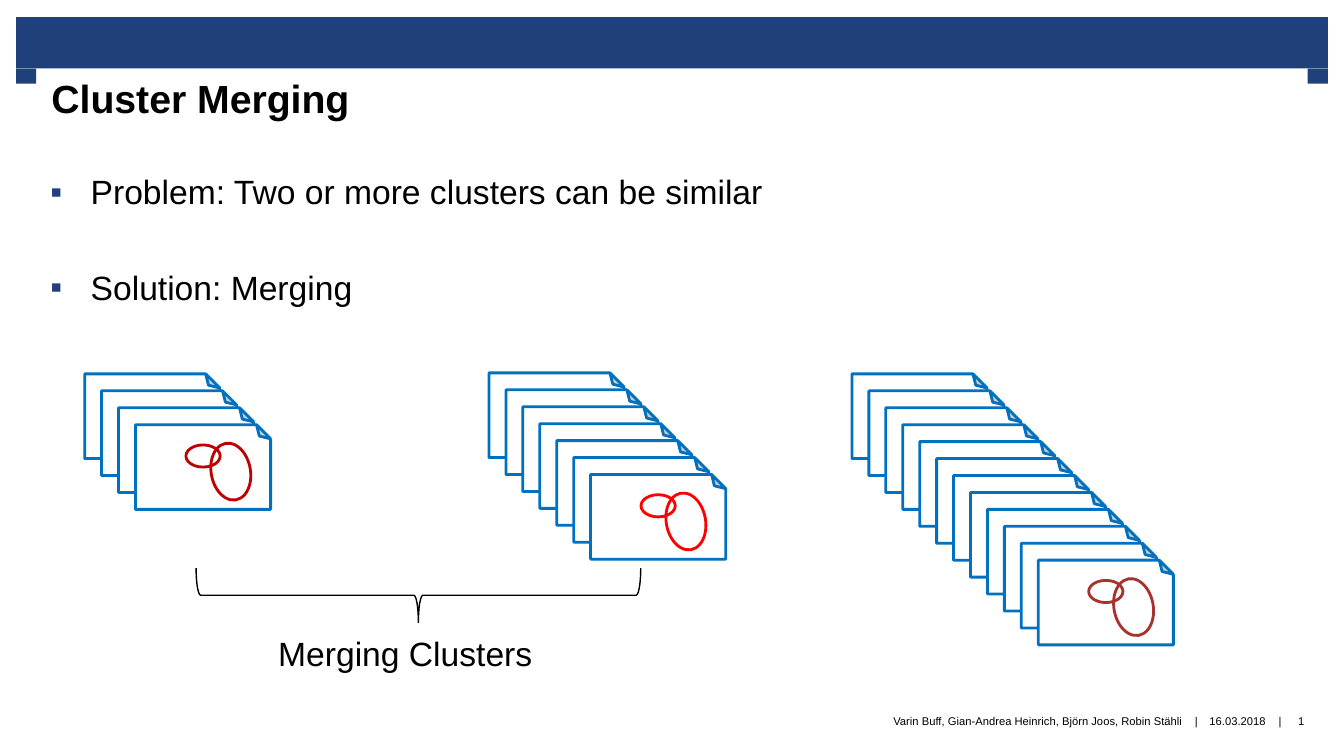
from dataclasses import dataclass

from lxml.etree import SubElement
from pptx import Presentation
from pptx.dml.color import RGBColor
from pptx.enum.shapes import MSO_SHAPE as Shape
from pptx.enum.text import MSO_ANCHOR as Anchor, PP_ALIGN as Align
from pptx.oxml.ns import qn
from pptx.util import Inches, Pt


@dataclass(frozen=True)
class Theme:
    font: str = "Arial"
    banner: str = "1F407A"
    paper: str = "FFFFFF"
    card_edge: str = "0070C0"
    ink: str = "000000"
    title_size: int = 28
    body_size: int = 24
    footer_size: int = 8
    card_line: float = 2
    brace_line: float = 1


THEME = Theme()
SLIDE_W, SLIDE_H = 13.33, 7.5
MARGIN = 0.35
CONTENT_W = SLIDE_W - 2 * MARGIN

TITLE = "Cluster Merging"
POINTS = ["Problem: Two or more clusters can be similar", "Solution: Merging"]
MERGE_LABEL = "Merging Clusters"
# left, top, number of cards, colour of the drawing on the front card
CLUSTERS = [
    (0.84, 3.71, 4, "C00000"),
    (4.85, 3.70, 7, "FF0000"),
    (8.45, 3.71, 12, "A8322D"),
]
# text, left, width, alignment
FOOTER = [
    ("Varin Buff, Gian-Andrea Heinrich, Björn Joos, Robin Stähli", 6.66, 5.07, Align.RIGHT),
    ("|", 11.79, 0.15, Align.CENTER),
    ("16.03.2018", 11.94, 0.67, Align.CENTER),
    ("|", 12.62, 0.15, Align.CENTER),
    ("1", 12.71, 0.39, Align.CENTER),
]
FOOTER_TOP, FOOTER_H = 6.9, 0.51

BANNER_EDGE = 0.16
BANNER_W = SLIDE_W - 2 * BANNER_EDGE
BANNER_TOP, BANNER_H = 0.17, 0.51
TAB_W, TAB_H = 0.2, 0.15

CARD_W, CARD_H = 1.34, 0.84
CARD_STEP = 0.168
# left and top from the card's corner, width, height, rotation
OVALS = [(0.5, 0.2, 0.34, 0.22, 0), (0.66, 0.27, 0.57, 0.39, 79.6)]
BRACE = (3.88, 3.7, 0.54, 4.41)


def color(code):
    return RGBColor.from_string(code)


def add_run(paragraph, text, size, bold=False):
    run = paragraph.add_run()
    run.text = text
    run.font.name = THEME.font
    run.font.size = Pt(size)
    run.font.bold = bold
    run.font.color.rgb = color(THEME.ink)


def set_frame(frame, insets, anchor=Anchor.TOP, wrap=True):
    frame.word_wrap = wrap
    frame.vertical_anchor = anchor
    left, top, right, bottom = map(Inches, insets)
    frame.margin_left, frame.margin_top = left, top
    frame.margin_right, frame.margin_bottom = right, bottom


def add_text_frame(slide, box, insets, **options):
    frame = slide.shapes.add_textbox(*map(Inches, box)).text_frame
    set_frame(frame, insets, **options)
    return frame


def add_plain(slide, kind, box, fill=None, line=None, weight=1.0):
    shape = slide.shapes.add_shape(kind, *map(Inches, box))
    shape.shadow.inherit = False
    if fill:
        shape.fill.solid()
        shape.fill.fore_color.rgb = color(fill)
    else:
        shape.fill.background()
    if line:
        shape.line.color.rgb = color(line)
        shape.line.width = Pt(weight)
    else:
        shape.line.fill.background()
    return shape


def add_bullet(paragraph):
    properties = paragraph._p.get_or_add_pPr()
    properties.set("marL", str(Inches(0.4)))
    properties.set("indent", str(-Inches(0.4)))
    bullet_color = SubElement(properties, qn("a:buClr"))
    SubElement(bullet_color, qn("a:srgbClr"), val=THEME.banner)
    SubElement(properties, qn("a:buFont"), typeface=THEME.font)
    SubElement(properties, qn("a:buChar"), char="▪")


def add_banner(slide):
    tab_top = BANNER_TOP + BANNER_H
    right_tab = BANNER_EDGE + BANNER_W - TAB_W
    for box in [
        (BANNER_EDGE, BANNER_TOP, BANNER_W, BANNER_H),
        (BANNER_EDGE, tab_top, TAB_W, TAB_H),
        (right_tab, tab_top, TAB_W, TAB_H),
    ]:
        add_plain(slide, Shape.RECTANGLE, box, fill=THEME.banner)


def add_title(slide):
    title = slide.shapes.title
    title.left, title.top = Inches(MARGIN), Inches(0.68)
    title.width, title.height = Inches(CONTENT_W), Inches(1.06)
    set_frame(title.text_frame, (0.16, 0.06, 0.16, 0))
    heading = title.text_frame.paragraphs[0]
    heading.alignment = Align.LEFT
    add_run(heading, TITLE, THEME.title_size, bold=True)


def add_points(slide):
    frame = add_text_frame(slide, (MARGIN, 1.7, CONTENT_W, 1.58), (0.15, 0, 0.16, 0))
    for index, point in enumerate(POINTS):
        paragraph = frame.add_paragraph() if index else frame.paragraphs[0]
        paragraph.space_before = Pt(39.5 if index else 5)
        add_bullet(paragraph)
        add_run(paragraph, point, THEME.body_size)


def add_cluster(slide, left, top, count, drawing_color):
    """Stack the cards diagonally and draw two ovals on the front one."""
    for index in range(count):
        x, y = left + index * CARD_STEP, top + index * CARD_STEP
        card = add_plain(slide, Shape.FOLDED_CORNER, (x, y, CARD_W, CARD_H),
                         THEME.paper, THEME.card_edge, THEME.card_line)
        card._element.spPr.xfrm.set("flipV", "1")
    for dx, dy, width, height, rotation in OVALS:
        oval = add_plain(slide, Shape.OVAL, (x + dx, y + dy, width, height),
                         line=drawing_color, weight=THEME.card_line)
        oval.rotation = rotation


def add_merge_mark(slide):
    frame = add_text_frame(slide, (2.61, 6.28, 3.27, 0.69), (0.15, 0, 0.16, 0))
    label = frame.paragraphs[0]
    label.space_before = Pt(5)
    add_run(label, MERGE_LABEL, THEME.body_size)
    brace = add_plain(slide, Shape.LEFT_BRACE, BRACE, line=THEME.ink, weight=THEME.brace_line)
    brace.rotation = 270


def add_footer(slide):
    for text, left, width, alignment in FOOTER:
        frame = add_text_frame(slide, (left, FOOTER_TOP, width, FOOTER_H), (0, 0, 0, 0),
                               anchor=Anchor.MIDDLE, wrap=False)
        paragraph = frame.paragraphs[0]
        paragraph.alignment = alignment
        add_run(paragraph, text, THEME.footer_size)


def main():
    deck = Presentation()
    deck.slide_width, deck.slide_height = Inches(SLIDE_W), Inches(SLIDE_H)
    slide = deck.slides.add_slide(deck.slide_layouts[5])
    add_banner(slide)
    add_title(slide)
    add_points(slide)
    for cluster in CLUSTERS:
        add_cluster(slide, *cluster)
    add_merge_mark(slide)
    add_footer(slide)
    deck.save("out.pptx")


if __name__ == "__main__":
    main()
